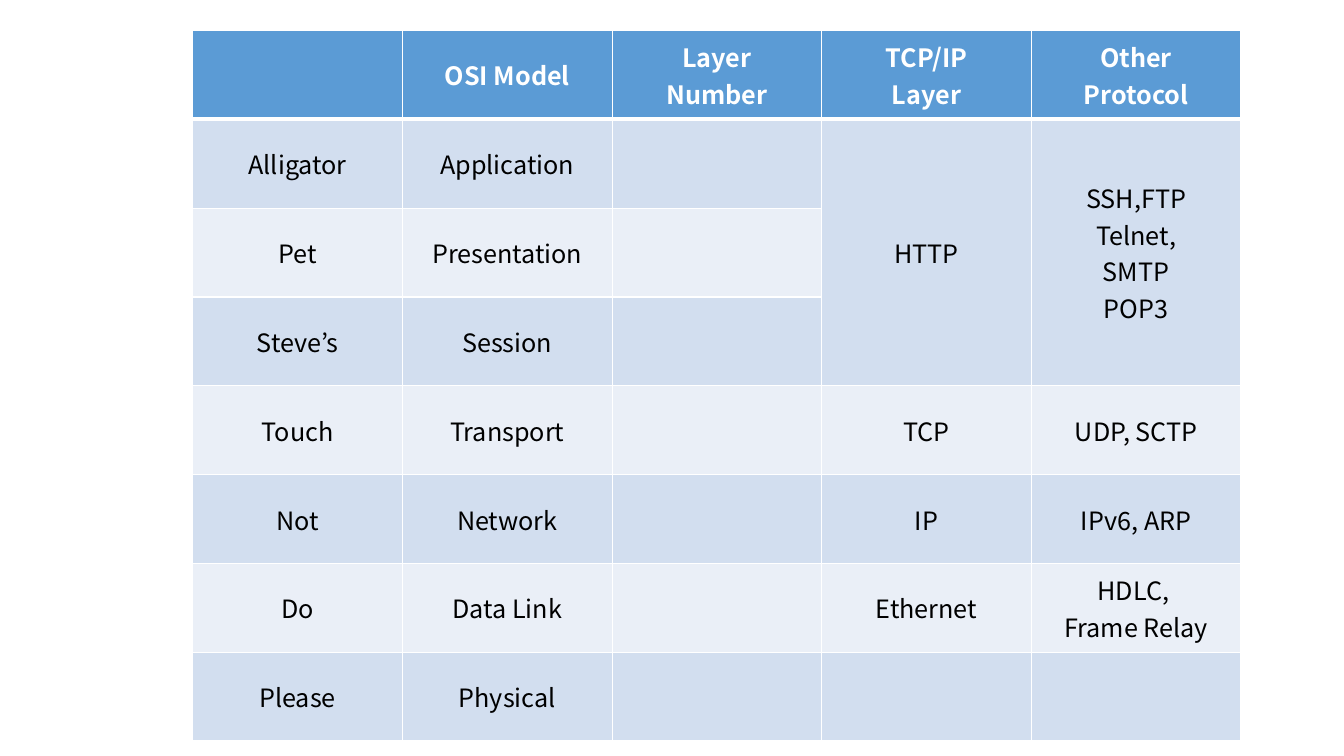
from lxml import etree
from pptx import Presentation
from pptx.dml.color import RGBColor
from pptx.enum.text import MSO_ANCHOR, PP_ALIGN
from pptx.oxml.ns import qn
from pptx.util import Pt

CENTER = PP_ALIGN.CENTER
MIDDLE = MSO_ANCHOR.MIDDLE
FONT = "Noto Sans CJK KR"
WHITE, BLACK, BLUE = "FFFFFF", "000000", "5B9BD5"
BANDS = ("D2DEEF", "EAEFF7")
COL_W, ROW_H = 149.75, 63.45

# "\n" starts a paragraph, "\v" breaks a line within one.
ROWS = [
    ("", "OSI Model", "Layer\vNumber", "TCP/IP\nLayer", "Other\nProtocol"),
    ("Alligator", "Application", "", "HTTP", "SSH,FTP\vTelnet,\vSMTP\nPOP3"),
    ("Pet", "Presentation", "", "", ""),
    ("Steve’s", "Session", "", "", ""),
    ("Touch", "Transport", "", "TCP", "UDP, SCTP"),
    ("Not", "Network", "", "IP", "IPv6, ARP"),
    ("Do", "Data Link", "", "Ethernet", "HDLC, \vFrame Relay"),
    ("Please", "Physical", "", "", ""),
]
MERGES = [(1, 3, 3, 3), (1, 4, 3, 4)]


def color(code):
    """Turn a hex string into a colour."""
    return RGBColor.from_string(code)


def set_edges(cell, top, bottom):
    """Draw white borders, with the given top and bottom widths in points."""
    props = cell._tc.get_or_add_tcPr()
    sides = (("L", 1), ("R", 1), ("T", top), ("B", bottom))
    for place, (side, width) in enumerate(sides):
        line = etree.Element(qn("a:ln" + side), w=str(Pt(width)))
        fill = etree.SubElement(line, qn("a:solidFill"))
        etree.SubElement(fill, qn("a:srgbClr"), val=WHITE)
        props.insert(place, line)


def set_text(cell, text, ink, bold):
    """Write centred text in a cell."""
    cell.vertical_anchor = MIDDLE
    cell.text_frame.text = text
    for para in cell.text_frame.paragraphs:
        para.alignment = CENTER
        for run in para.runs:
            run.font.name = FONT
            run.font.size = Pt(18)
            run.font.bold = bold
            run.font.color.rgb = color(ink)


def style_cell(cell, row, text):
    """Fill, border and label a cell according to its row."""
    head = row == 0
    cell.fill.solid()
    cell.fill.fore_color.rgb = color(BLUE if head else BANDS[(row - 1) % 2])
    set_edges(cell, 3 if row == 1 else 1, 3 if head else 1)
    set_text(cell, text, WHITE if head else BLACK, head)


def add_grid(slide, left, top):
    """Add the table of network layers."""
    count, wide = len(ROWS), len(ROWS[0])
    frame = slide.shapes.add_table(count, wide, Pt(left), Pt(top),
                                   Pt(COL_W * wide), Pt(ROW_H * count))
    table = frame.table
    for col in table.columns:
        col.width = Pt(COL_W)
    for row in table.rows:
        row.height = Pt(ROW_H)
    for row, texts in enumerate(ROWS):
        for col, text in enumerate(texts):
            style_cell(table.cell(row, col), row, text)
    for first, left_col, last, right_col in MERGES:
        table.cell(first, left_col).merge(table.cell(last, right_col))


def main():
    """Build and save the slide."""
    deck = Presentation()
    deck.slide_width, deck.slide_height = Pt(960), Pt(540)
    slide = deck.slides.add_slide(deck.slide_layouts[6])
    add_grid(slide, 137.75, 21.8)
    deck.save("out.pptx")


main()
